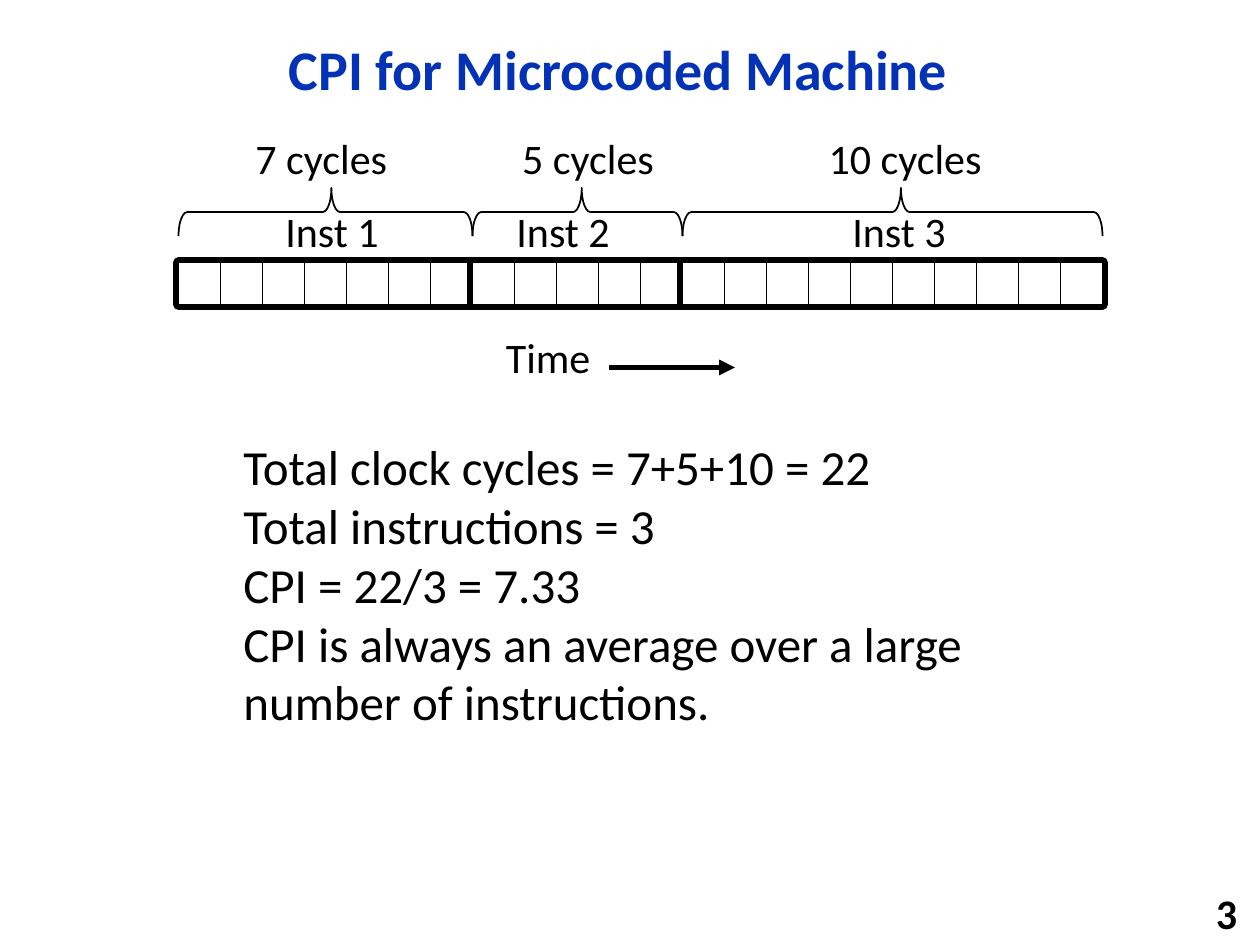
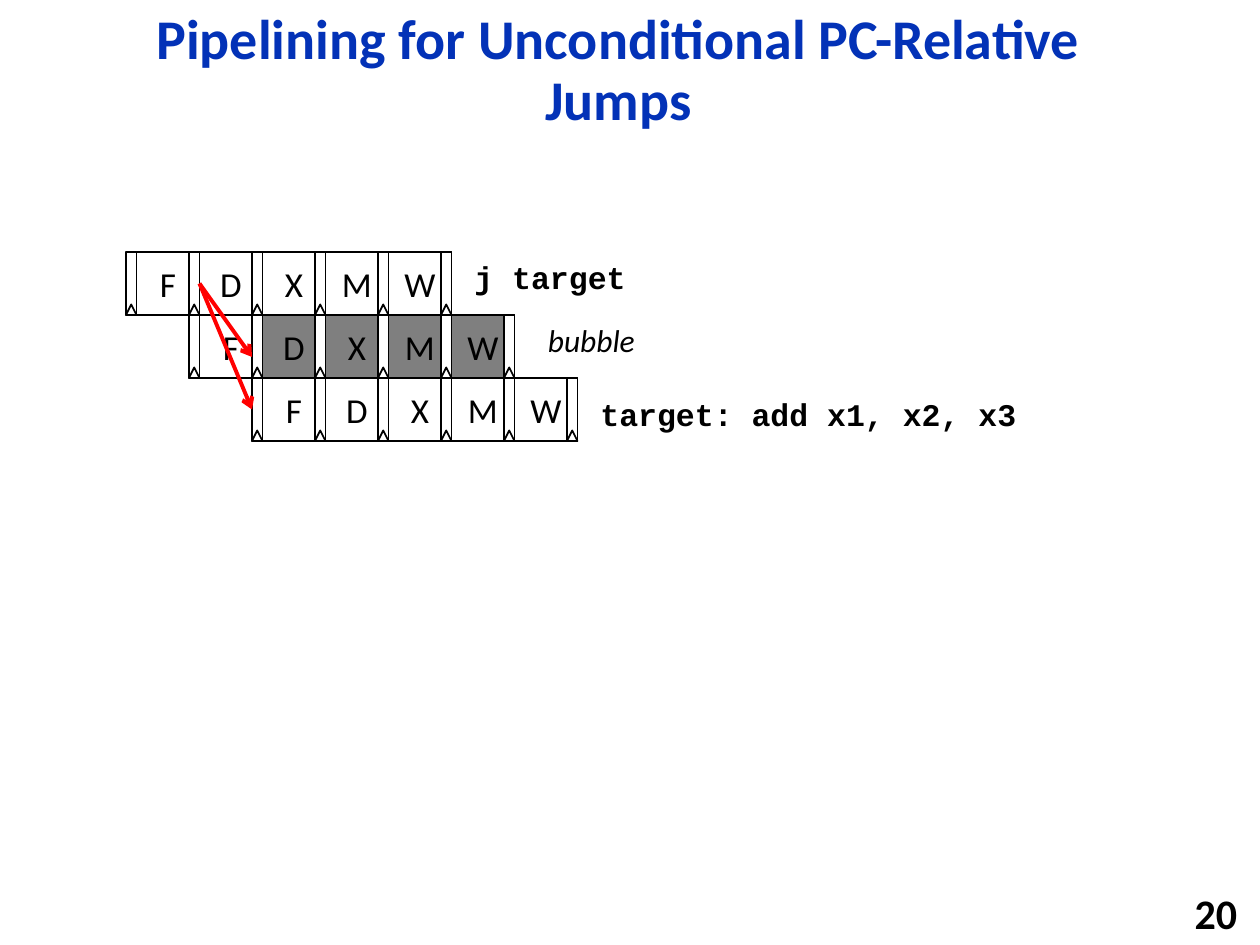
import pptx
import pptx.util
import pptx.dml.color
import pptx.enum.shapes
import pptx.enum.text
import pptx.oxml.ns
import lxml.etree

PX = 7620
COLORS = {"title": "0332B7", "ink": "000000", "paper": "FFFFFF", "bubble": "7F7F7F", "jump": "FF0000"}
SHAPES = pptx.enum.shapes.MSO_SHAPE
ALIGN = pptx.enum.text.PP_ALIGN
MIDDLE = pptx.enum.text.MSO_ANCHOR.MIDDLE
CYCLE = 40
STAGE = 60
LATCH = 10


def px(*lengths):
    return [pptx.util.Emu(length * PX) for length in lengths]


def rgb(name):
    return pptx.dml.color.RGBColor.from_string(COLORS[name])


def write(frame, text, size, color="ink", font="Calibri", bold=False, italic=False,
          align=ALIGN.LEFT, spacing=None):
    frame.text = text
    for para in frame.paragraphs:
        para.alignment = align
        para.line_spacing = spacing
        para.font.size = pptx.util.Pt(size)
        para.font.name = font
        para.font.bold = bold
        para.font.italic = italic
        para.font.color.rgb = rgb(color)


def add_text(page, place, text, size, wrap=False, anchor=None, grow=True, **style):
    box = page.shapes.add_textbox(*px(*place))
    frame = box.text_frame
    write(frame, text, size, **style)
    frame.word_wrap = wrap
    if anchor is not None:
        frame.vertical_anchor = anchor
    if grow:
        frame.auto_size = pptx.enum.text.MSO_AUTO_SIZE.SHAPE_TO_FIT_TEXT


def add_block(page, place, kind=SHAPES.RECTANGLE, fill="paper", weight=1):
    block = page.shapes.add_shape(kind, *px(*place))
    block.shadow.inherit = False
    block.fill.solid()
    block.fill.fore_color.rgb = rgb(fill)
    block.line.color.rgb = rgb("ink")
    block.line.width = pptx.util.Pt(weight)
    return block


def add_arrow(page, start, end, color, weight, head):
    arrow = page.shapes.add_connector(pptx.enum.shapes.MSO_CONNECTOR.STRAIGHT, *px(*start, *end))
    arrow.line.color.rgb = rgb(color)
    arrow.line.width = pptx.util.Pt(weight)
    qn = pptx.oxml.ns.qn
    lxml.etree.SubElement(arrow.line._get_or_add_ln(), qn("a:tailEnd"), type=head)
    lxml.etree.SubElement(arrow._element.spPr, qn("a:effectLst"))
    return arrow


def add_page(deck, title, number):
    page = deck.slides.add_slide(deck.slide_layouts[6])
    add_text(page, (110, 20, 958, 97), title, 32, wrap=True, anchor=MIDDLE, grow=False,
             color="title", bold=True, align=ALIGN.CENTER, spacing=0.9)
    add_text(page, (940, 850, 250, 38), number, 24, anchor=MIDDLE, grow=False,
             bold=True, align=ALIGN.RIGHT)
    return page


def add_brace(page, left, length):
    depth, middle = 46, 202
    center = left + length // 2
    brace = add_block(page, (center - depth // 2, middle - length // 2, depth, length), SHAPES.LEFT_BRACE)
    brace.rotation = 90
    brace.adjustments[0] = 0.18
    brace.adjustments[1] = 0.48
    brace.fill.background()


def add_instruction(page, left, cycles, name, name_left, label_center):
    top = 250
    length = cycles * CYCLE
    add_brace(page, left, length)
    add_block(page, (left, top, length, CYCLE), weight=6)
    for cycle in range(cycles):
        add_block(page, (left + cycle * CYCLE, top, CYCLE, CYCLE))
    add_text(page, (label_center - 100, 120, 200, 60), f"{cycles} cycles", 24, wrap=True, align=ALIGN.CENTER)
    add_text(page, (name_left, 190, 114, 60), name, 24)


def add_latch(page, left, top):
    latch = add_block(page, (left, top, LATCH, STAGE))
    add_block(page, (left, top + STAGE - LATCH, LATCH, LATCH), SHAPES.ISOSCELES_TRIANGLE)
    return latch


def add_pipeline(page, left, top, bubble=False):
    stages = []
    for index, letter in enumerate("FDXMW"):
        fill = "bubble" if bubble and index else "paper"
        stage = add_block(page, (left + LATCH + index * STAGE, top, STAGE, STAGE), fill=fill)
        frame = stage.text_frame
        frame.margin_left = frame.margin_right = frame.margin_top = frame.margin_bottom = 0
        frame.vertical_anchor = MIDDLE
        write(frame, letter, 20, align=ALIGN.CENTER)
        stages.append(stage)
    latches = [add_latch(page, left + index * STAGE, top) for index in range(6)]
    return stages, latches


def build_cpi(deck):
    page = add_page(deck, "CPI for Microcoded Machine", "3")
    left = 170
    for cycles, name, name_left, label_center in (
            (7, "Inst 1", 260, 306), (5, "Inst 2", 480, 560), (10, "Inst 3", 800, 862)):
        add_instruction(page, left, cycles, name, name_left, label_center)
        left += cycles * CYCLE
    add_text(page, (470, 310, 106, 60), "Time", 24)
    add_arrow(page, (580, 350), (700, 350), "ink", 3, "triangle")
    facts = ["Total clock cycles = 7+5+10 = 22", "Total instructions = 3", "CPI = 22/3 = 7.33",
             "CPI is always an average over a large number of instructions."]
    add_text(page, (220, 410, 810, 379), "\n".join(facts), 28, wrap=True)


def build_jumps(deck):
    page = add_page(deck, "Pipelining for Unconditional PC-Relative Jumps", "20")
    left, top = 120, 240
    jump_stages, _ = add_pipeline(page, left, top)
    add_pipeline(page, left + STAGE, top + STAGE, bubble=True)
    _, target_latches = add_pipeline(page, left + 2 * STAGE, top + 2 * STAGE)
    code = {"font": "Courier New", "bold": True}
    add_text(page, (440, 240, 169, 48), "j target", 18, **code)
    add_text(page, (510, 300, 115, 48), "bubble", 18, italic=True)
    add_text(page, (560, 370, 424, 48), "target: add x1, x2, x3", 18, **code)
    to_target = add_arrow(page, (190, 270), (240, 390), "jump", 2.25, "arrow")
    to_target.end_connect(target_latches[0], 1)
    to_bubble = add_arrow(page, (190, 270), (240, 340), "jump", 2.25, "arrow")
    for arrow in (to_target, to_bubble):
        arrow.begin_connect(jump_stages[1], 1)


def main():
    deck = pptx.Presentation()
    deck.slide_width, deck.slide_height = px(1200, 900)
    build_cpi(deck)
    build_jumps(deck)
    deck.save("out.pptx")


if __name__ == "__main__":
    main()
